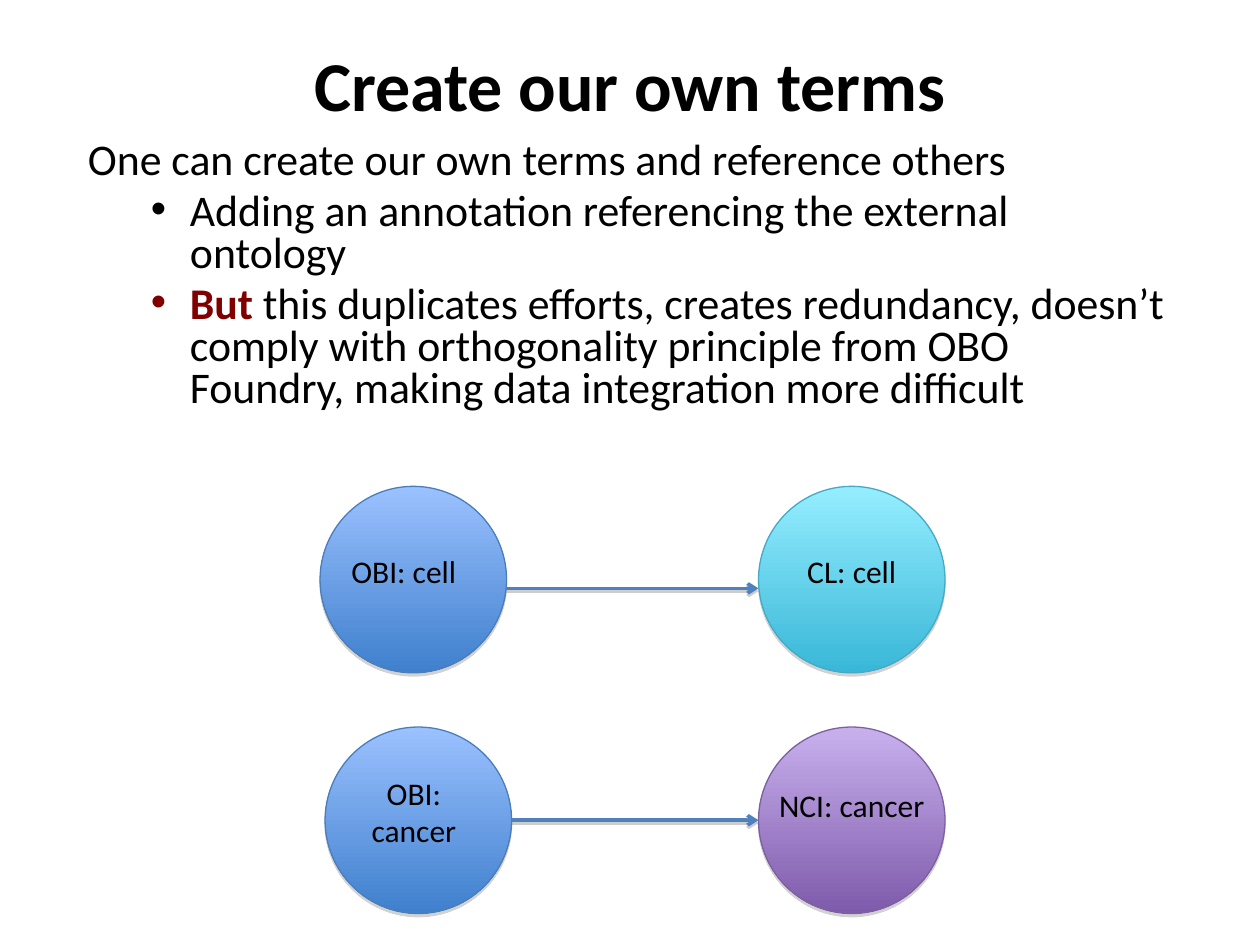
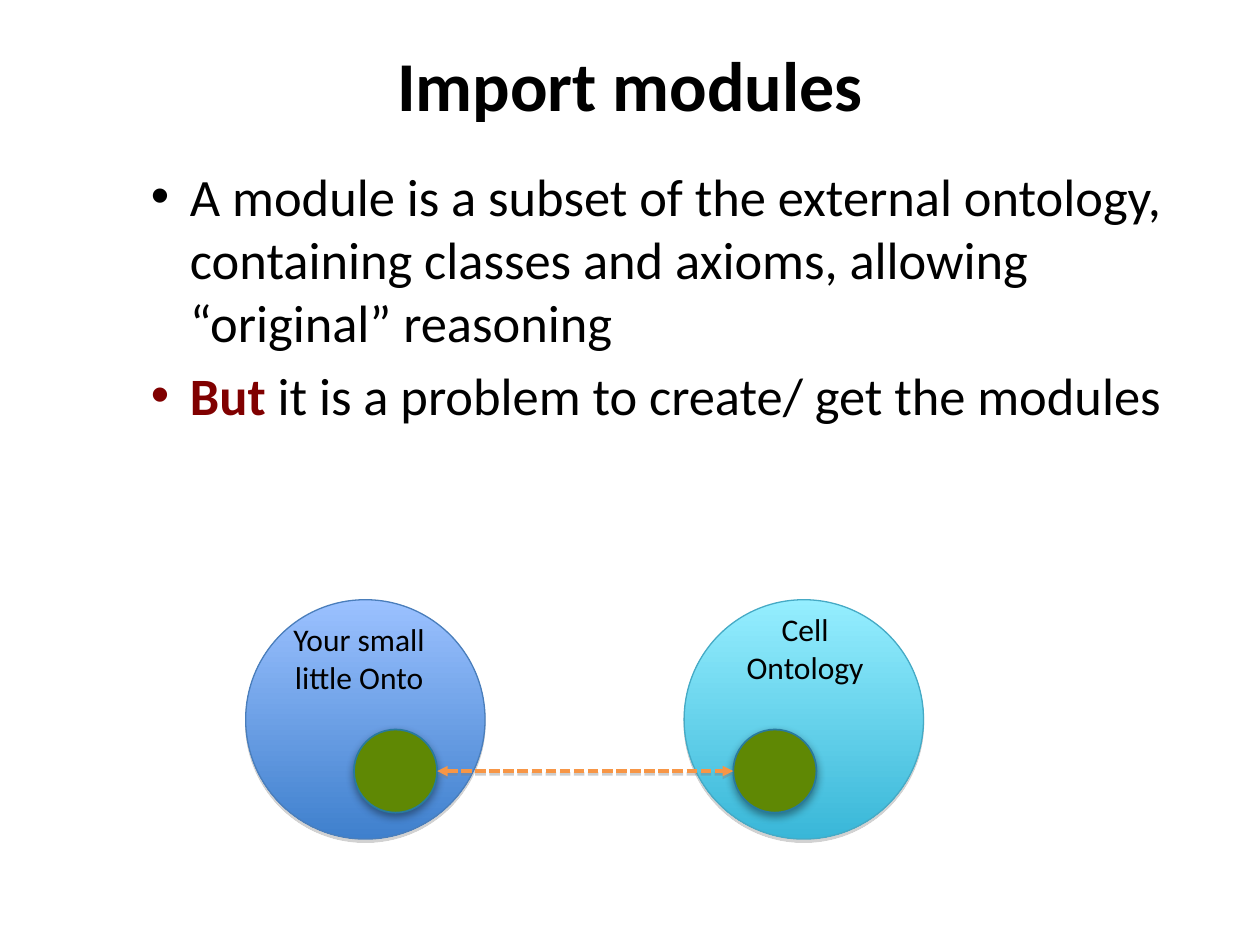
from dataclasses import dataclass
from lxml.etree import SubElement
from pptx import Presentation
from pptx.dml.color import RGBColor as Color
from pptx.enum.dml import MSO_LINE_DASH_STYLE as Dash
from pptx.enum.shapes import MSO_CONNECTOR_TYPE as Connector, MSO_SHAPE as Shape
from pptx.enum.text import MSO_VERTICAL_ANCHOR as Anchor, PP_PARAGRAPH_ALIGNMENT as Align
from pptx.oxml.ns import qn
from pptx.util import Inches, Pt


@dataclass(frozen=True)
class Theme:
    font: str = "Calibri"
    title_size: int = 40
    label_size: int = 18
    text: str = "000000"
    warning: str = "800000"
    blue: tuple = ("9BC1FF", "3F80CD", "4A7EBB")
    cyan: tuple = ("95EEFF", "39B7D8", "46AAC5")
    purple: tuple = ("C8B0ED", "7F5BAB", "7D60A0")
    green: tuple = ("5F8804", "5F8804", "287A9E")
    arrow: str = "4F81BD"
    link: str = "F79646"
    disc_shadow: tuple = ("808080", 35, 0, 1.8)
    module_shadow: tuple = ("000000", 40, 5, 2.1)
    line_shadow: tuple = ("808080", 38, 0, 1.6)


theme = Theme()


def write_text(page, place, lines, size, align=Align.CENTER, bold=False, body=False, spacing=None):
    box = page.shapes.add_textbox(*map(Inches, place))
    frame = box.text_frame
    frame.word_wrap = True
    for index, (level, text) in enumerate(lines):
        para = frame.paragraphs[0] if index == 0 else frame.add_paragraph()
        para.alignment = align
        if body:
            para.space_before = Pt(size * 0.2)
            para.line_spacing = spacing
            margin, hanging = (0.81, 0.31) if level else (0.5, 0.5)
            properties = para._p.get_or_add_pPr()
            properties.set("marL", str(Inches(margin)))
            properties.set("indent", str(-Inches(hanging)))
            if level:
                SubElement(properties, qn("a:buFont"), typeface="Arial")
                SubElement(properties, qn("a:buChar"), char="•")
        para.font.name = theme.font
        para.font.size = Pt(size)
        para.font.bold = bold
        para.font.color.rgb = Color.from_string(theme.text)
        if text.startswith("But "):
            span = para.add_run()
            span.text = "But "
            span.font.bold = True
            span.font.color.rgb = Color.from_string(theme.warning)
            text = text.removeprefix("But ")
        para.add_run().text = text
    return frame


def cast_shadow(item, shadow):
    color, opacity, blur, distance = shadow
    effects = SubElement(item._element.spPr, qn("a:effectLst"))
    outer = SubElement(effects, qn("a:outerShdw"), blurRad=str(Pt(blur)),
                       dist=str(Pt(distance)), dir="5400000", rotWithShape="0")
    tint = SubElement(outer, qn("a:srgbClr"), val=color)
    SubElement(tint, qn("a:alpha"), val=str(opacity * 1000))


top_row, bottom_row = 3.86, 5.77
left_column, right_column = 2.54, 6.02
term, ontology, module = 1.48, 1.9, 0.66
ontology_top, module_top = 4.76, 5.79

pages = [
    {
        "title": "Create our own terms",
        "body": ((0.6, 1.08, 8.8, 2.5), 25, 0.8, [
            (0, "One can create our own terms and reference others"),
            (1, "Adding an annotation referencing the external ontology"),
            (1, "But this duplicates efforts, creates redundancy, doesn’t comply with "
                "orthogonality principle from OBO Foundry, making data integration more difficult"),
        ]),
        "discs": [
            (left_column, top_row, term, theme.blue),
            (left_column + 0.04, bottom_row, term, theme.blue),
            (right_column, top_row, term, theme.cyan),
            (right_column, bottom_row, term, theme.purple),
        ],
        "labels": [
            ((2.69, 4.33, 1.25, 0.4), ["OBI: cell"], Align.LEFT),
            ((2.66, 6.09, 1.25, 0.71), ["OBI: cancer"], Align.CENTER),
            ((right_column, 4.33, term, 0.4), ["CL: cell"], Align.CENTER),
            ((right_column, 6.19, term, 0.71), ["NCI: cancer"], Align.CENTER),
        ],
        "arrows": [
            (left_column + term, right_column, 4.67),
            (left_column + 0.04 + term, right_column, 6.51),
        ],
        "arrow_style": (theme.arrow, None, {"tailEnd": "arrow"}),
    },
    {
        "title": "Import modules",
        "body": ((0.6, 1.25, 8.8, 2.75), 30, None, [
            (1, "A module is a subset of the external ontology, containing classes "
                "and axioms, allowing “original” reasoning"),
            (1, "But it is a problem to create/ get the modules"),
        ]),
        "discs": [
            (1.95, ontology_top, ontology, theme.blue),
            (5.43, ontology_top, ontology, theme.cyan),
            (2.81, module_top, module, theme.green),
            (5.82, module_top, module, theme.green),
        ],
        "labels": [
            ((2.11, 4.87, 1.48, 0.71), ["Your small little Onto"], Align.CENTER),
            ((5.44, 4.79, 1.9, 0.71), ["Cell", "Ontology"], Align.CENTER),
        ],
        "arrows": [(2.81 + module, 5.82, module_top + module / 2)],
        "arrow_style": (theme.link, Dash.SQUARE_DOT,
                        {"headEnd": "triangle", "tailEnd": "triangle"}),
    },
]

deck = Presentation()
deck.slide_width, deck.slide_height = Inches(10), Inches(7.5)

for content in pages:
    page = deck.slides.add_slide(deck.slide_layouts[6])
    title = write_text(page, (0.6, 0.25, 8.8, 0.83), [(0, content["title"])],
                       theme.title_size, bold=True)
    title.vertical_anchor = Anchor.MIDDLE
    place, size, spacing, lines = content["body"]
    write_text(page, place, lines, size, Align.LEFT, body=True, spacing=spacing)

    for left, top, diameter, (light, dark, outline) in content["discs"]:
        disc = page.shapes.add_shape(Shape.OVAL, *map(Inches, (left, top, diameter, diameter)))
        is_module = diameter == module
        if is_module:
            disc.fill.solid()
            disc.fill.fore_color.rgb = Color.from_string(light)
        else:
            disc.fill.gradient()
            disc.fill.gradient_angle = 270
            for stop, color in zip(disc.fill.gradient_stops, (light, dark)):
                stop.color.rgb = Color.from_string(color)
        disc.line.color.rgb = Color.from_string(outline)
        disc.line.width = Pt(1 if is_module else 0.75)
        cast_shadow(disc, theme.module_shadow if is_module else theme.disc_shadow)

    for place, lines, align in content["labels"]:
        write_text(page, place, [(0, line) for line in lines], theme.label_size, align)

    color, dash, ends = content["arrow_style"]
    for start, end, height in content["arrows"]:
        arrow = page.shapes.add_connector(Connector.STRAIGHT,
                                          *map(Inches, (start, height, end, height)))
        arrow.line.color.rgb = Color.from_string(color)
        arrow.line.width = Pt(2)
        if dash:
            arrow.line.dash_style = dash
        for end_name, head in ends.items():
            SubElement(arrow.line._get_or_add_ln(), qn(f"a:{end_name}"), type=head)
        cast_shadow(arrow, theme.line_shadow)

deck.save("out.pptx")
